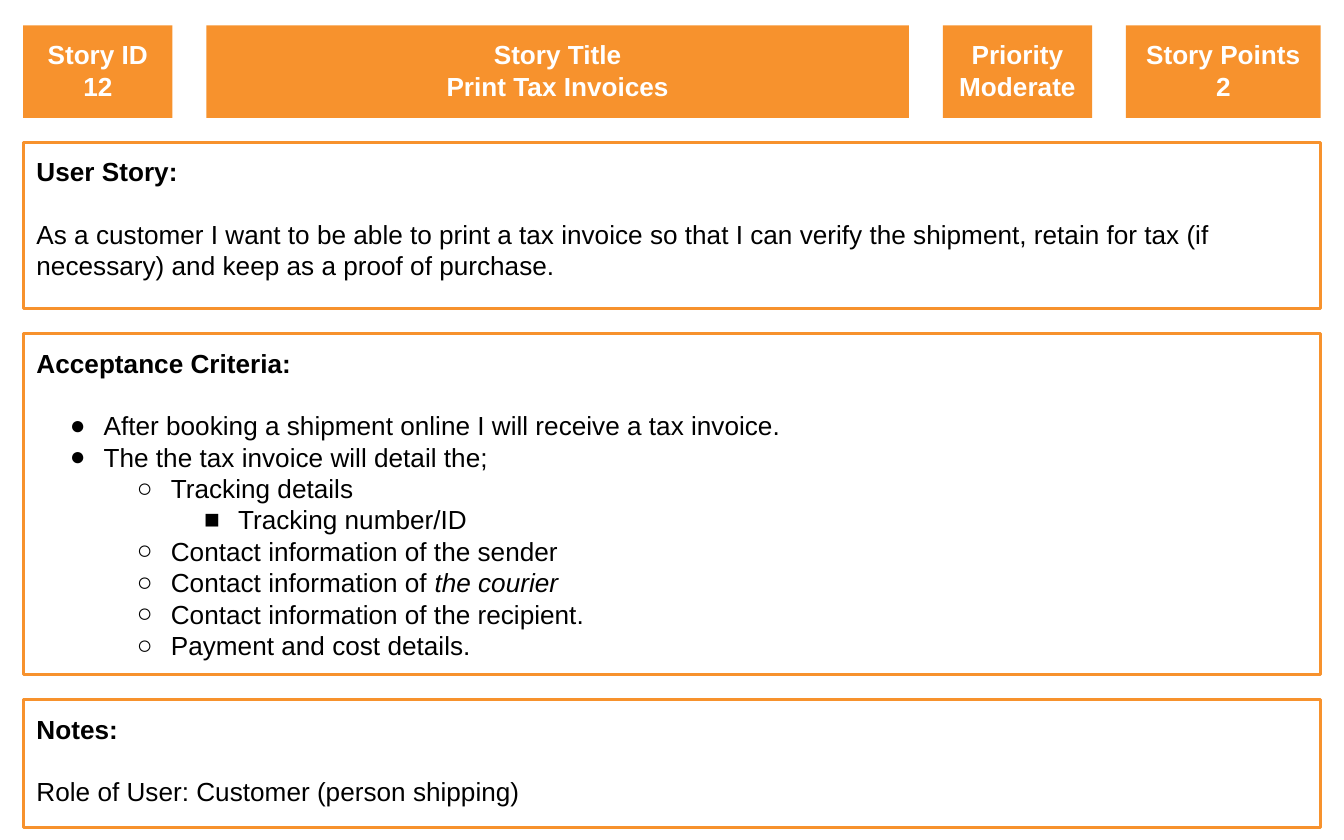
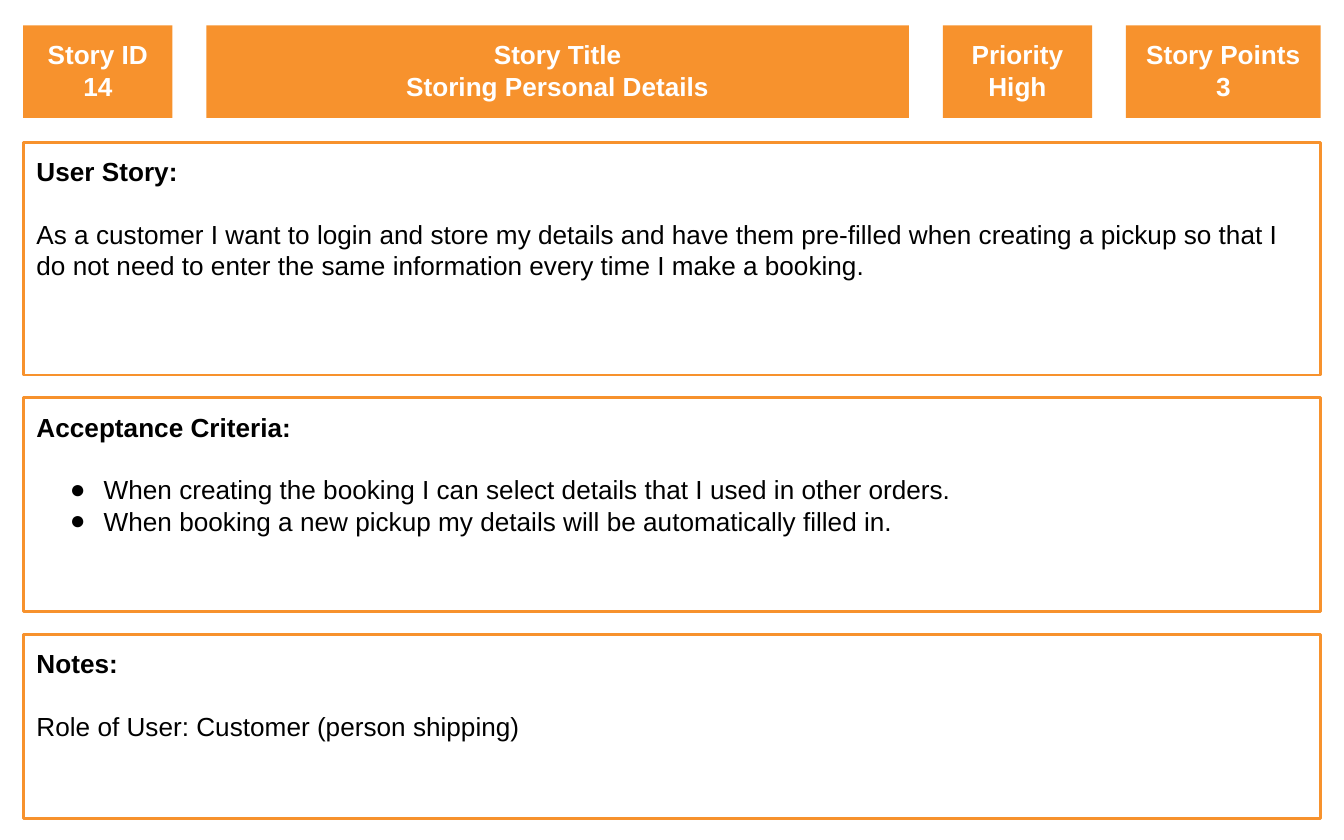
from pptx import Presentation
from pptx.dml.color import RGBColor
from pptx.enum.shapes import MSO_SHAPE as Preset
from pptx.enum.text import MSO_ANCHOR as Anchor, MSO_AUTO_SIZE as AutoSize, PP_ALIGN as Align
from pptx.oxml.ns import qn
from pptx.util import Cm, Pt
from lxml.etree import SubElement

ORANGE = RGBColor(0xF7, 0x92, 0x2D)
WHITE = RGBColor(0xFF, 0xFF, 0xFF)
BLACK = RGBColor(0, 0, 0)

SLIDE_WIDTH, SLIDE_HEIGHT = 25.4, 15.88
MARGIN = 0.44
HEADER_TOP, HEADER_HEIGHT, HEADER_GAP = 0.48, 1.75, 0.64
HEADER_WIDTHS = {"Story ID": 2.82, "Story Title": 13.28, "Priority": 2.82, "Story Points": 3.68}
PANEL_TOP = 2.69
PANEL_WIDTH = SLIDE_WIDTH - 2 * MARGIN
INSET = 0.25
INDENT_STEP, HANGING = 1.27, 0.64
BULLETS = "●○■"
BLANK_LINE = Pt(16.8)

FRAME_FORMAT = {
    "word_wrap": True,
    "auto_size": AutoSize.NONE,
    "vertical_anchor": Anchor.TOP,
    **{f"margin_{side}": Cm(INSET) for side in ("left", "right", "top", "bottom")},
}
FONT_FORMAT = {"name": "Arial", "size": Pt(14)}

CUSTOMER_ROLE = "Role of User: Customer (person shipping)"
STORIES = [
    {
        "header": ["12", "Print Tax Invoices", "Moderate", "2"],
        "gap": 0.47,
        "heights": [3.15, 6.45, 2.41],
        "story": "As a customer I want to be able to print a tax invoice so that I can verify "
                 "the shipment, retain for tax (if necessary) and keep as a proof of purchase.",
        "criteria": [
            (0, "After booking a shipment online I will receive a tax invoice."),
            (0, "The the tax invoice will detail the;"),
            (1, "Tracking details"),
            (2, "Tracking number/ID"),
            (1, "Contact information of the sender"),
            (1, "Contact information of ", "the courier"),
            (1, "Contact information of the recipient."),
            (1, "Payment and cost details."),
        ],
        "notes": CUSTOMER_ROLE,
    },
    {
        "header": ["14", "Storing Personal Details", "High", "3"],
        "gap": 0.43,
        "heights": [4.4, 4.04, 3.48],
        "story": "As a customer I want to login and store my details and have them pre-filled "
                 "when creating a pickup so that I do not need to enter the same information "
                 "every time I make a booking.",
        "criteria": [
            (0, "When creating the booking I can select details that I used in other orders."),
            (0, "When booking a new pickup my details will be automatically filled in."),
        ],
        "notes": CUSTOMER_ROLE,
    },
]


def apply_format(target, values):
    for name, value in values.items():
        setattr(target, name, value)


class StoryCards:
    def __init__(self, presentation):
        self.presentation = presentation
        self.slide = None

    def add_slide(self):
        layout = self.presentation.slide_layouts.get_by_name("Title Only")
        self.slide = self.presentation.slides.add_slide(layout)

    def style_box(self, shape, left, top, width, height, fill):
        apply_format(shape, {"left": Cm(left), "top": Cm(top),
                             "width": Cm(width), "height": Cm(height)})
        shape.fill.solid()
        shape.fill.fore_color.rgb = fill
        apply_format(shape.text_frame, FRAME_FORMAT)
        return shape

    def add_box(self, left, top, width, height, fill):
        shape = self.slide.shapes.add_shape(Preset.RECTANGLE, 0, 0, 0, 0)
        shape.shadow.inherit = False
        return self.style_box(shape, left, top, width, height, fill)

    def add_run(self, paragraph, text, color, **font_values):
        run = paragraph.add_run()
        run.text = text
        apply_format(run.font, {**FONT_FORMAT, "bold": False, **font_values})
        run.font.color.rgb = color

    def add_paragraph(self, frame, text, color=BLACK, align=Align.LEFT, **font_values):
        paragraph = frame.paragraphs[0] if not frame.text else frame.add_paragraph()
        paragraph.alignment = align
        self.add_run(paragraph, text, color, **font_values)
        return paragraph

    def add_bullet(self, frame, level, text, emphasis=None):
        paragraph = self.add_paragraph(frame, text)
        paragraph.level = level
        if emphasis:
            self.add_run(paragraph, emphasis, BLACK, italic=True)
        properties = paragraph._p.get_or_add_pPr()
        properties.set("marL", str(Cm(INDENT_STEP * (level + 1))))
        properties.set("indent", str(-Cm(HANGING)))
        bullet_color = SubElement(properties, qn("a:buClr"))
        SubElement(bullet_color, qn("a:srgbClr"), val=str(BLACK))
        SubElement(properties, qn("a:buFont"), typeface=FONT_FORMAT["name"])
        SubElement(properties, qn("a:buChar"), char=BULLETS[level])

    def add_header(self, values):
        left = MARGIN
        for (label, width), value in zip(HEADER_WIDTHS.items(), values):
            place = (left, HEADER_TOP, width, HEADER_HEIGHT, ORANGE)
            if label == "Story Title":
                shape = self.style_box(self.slide.shapes.title, *place)
            else:
                shape = self.add_box(*place)
                shape.line.fill.background()
            for text in (label, value):
                self.add_paragraph(shape.text_frame, text, WHITE, Align.CENTER, bold=True)
            left += width + HEADER_GAP

    def add_panel(self, top, height, heading):
        shape = self.add_box(MARGIN, top, PANEL_WIDTH, height, WHITE)
        shape.line.color.rgb = ORANGE
        shape.line.width = Pt(1.5)
        paragraph = self.add_paragraph(shape.text_frame, heading, bold=True)
        paragraph.space_after = BLANK_LINE
        return shape.text_frame

    def add_story(self, story):
        self.add_slide()
        self.add_header(story["header"])
        top = PANEL_TOP
        sections = zip(("User Story:", "Acceptance Criteria:", "Notes:"),
                       ("story", "criteria", "notes"), story["heights"])
        for heading, key, height in sections:
            frame = self.add_panel(top, height, heading)
            if key == "criteria":
                for criterion in story[key]:
                    self.add_bullet(frame, *criterion)
            else:
                self.add_paragraph(frame, story[key])
            top += height + story["gap"]


def main():
    presentation = Presentation()
    apply_format(presentation, {"slide_width": Cm(SLIDE_WIDTH), "slide_height": Cm(SLIDE_HEIGHT)})
    cards = StoryCards(presentation)
    for story in STORIES:
        cards.add_story(story)
    presentation.save("out.pptx")


if __name__ == "__main__":
    main()
